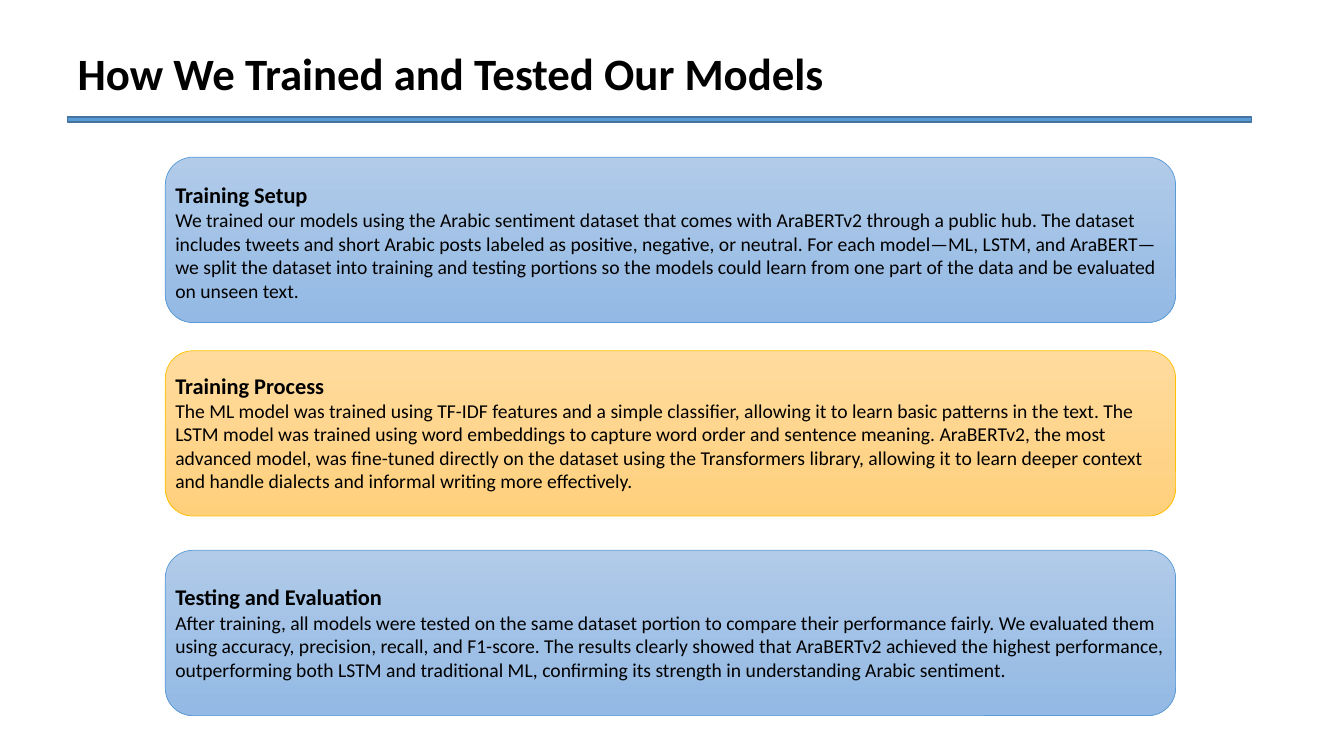
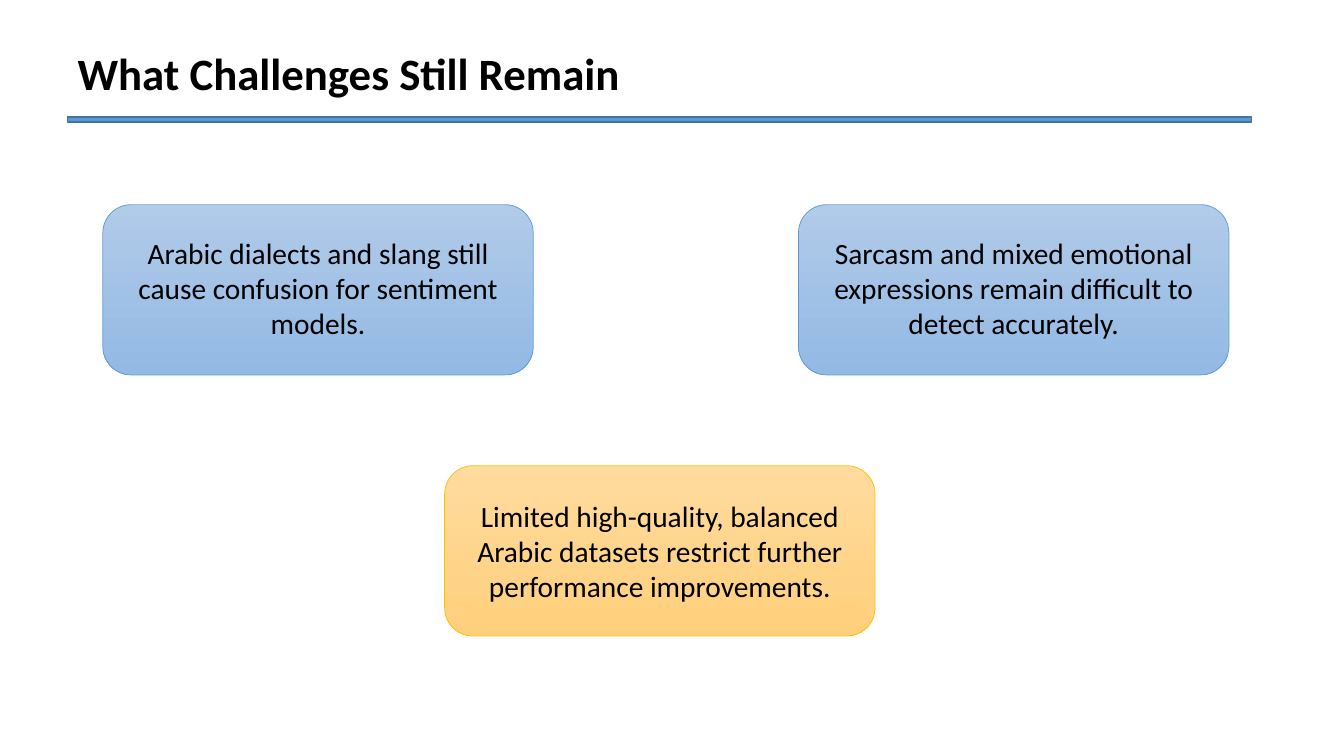
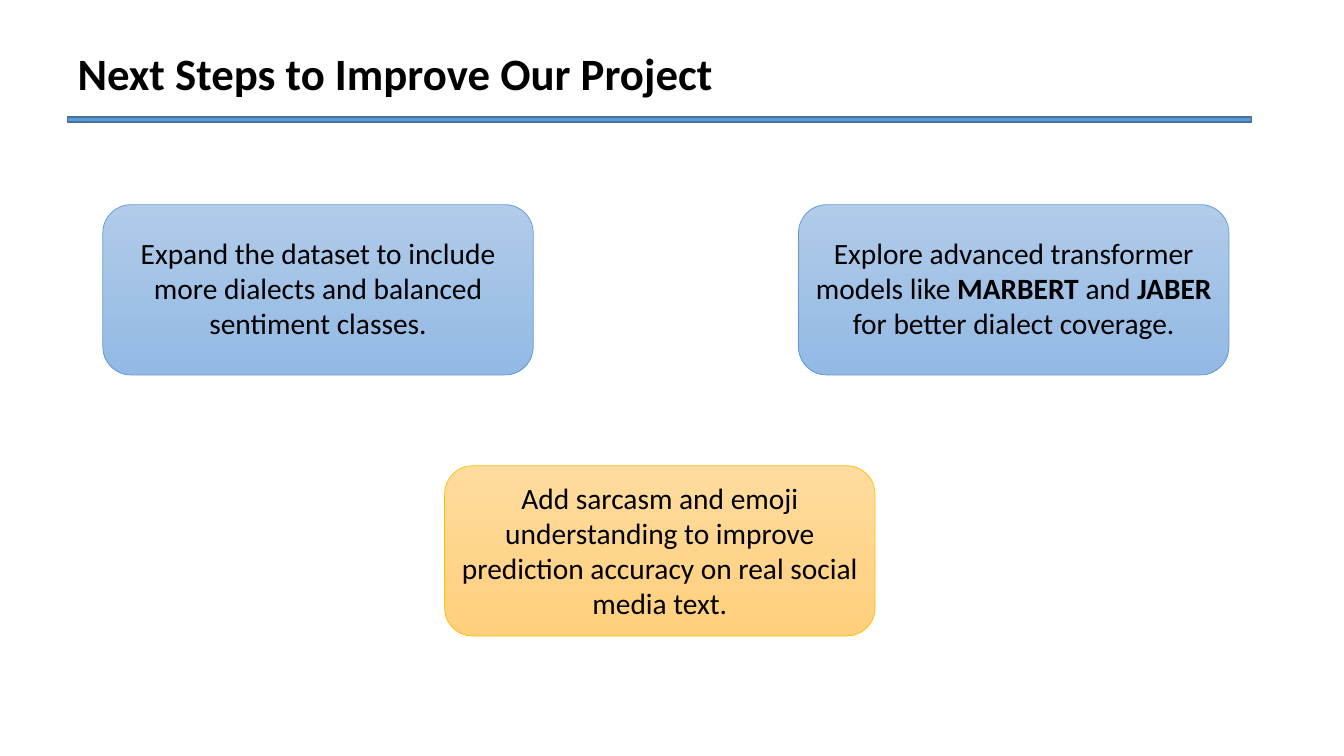
import dataclasses

import pptx
import pptx.dml.color
import pptx.enum.shapes
import pptx.enum.text
import pptx.util

SHAPES = pptx.enum.shapes.MSO_SHAPE
ALIGN = pptx.enum.text.PP_ALIGN


@dataclasses.dataclass(frozen=True)
class Theme:
    font: str = "Calibri"
    ink: str = "000000"
    rule: tuple = ("5B9BD5", "43739E")
    blue: tuple = ("B1CBE9", "93B9E4", "5B9BD5")
    gold: tuple = ("FFDB9E", "FFD07C", "FFC000")
    title: int = 32
    heading: int = 16
    body: int = 14
    statement: int = 21
    rule_line: float = 1
    card_line: float = 0.5


def apply(target, values):
    for name, value in values.items():
        setattr(target, name, value)


def rgb(code):
    return pptx.dml.color.RGBColor.from_string(code)


class Deck:
    def __init__(self, theme):
        self.theme = theme
        self.presentation = pptx.Presentation()
        apply(self.presentation, {
            "slide_width": pptx.util.Inches(13.33),
            "slide_height": pptx.util.Inches(7.5),
        })
        self.slide = None

    def frame(self, left, top, width, height):
        across = self.presentation.slide_width / 100
        down = self.presentation.slide_height / 100
        return (round(left * across), round(top * down),
                round(width * across), round(height * down))

    def start(self, title):
        blank = self.presentation.slide_layouts[6]
        self.slide = self.presentation.slides.add_slide(blank)
        self.text((5.03, 5.33, 82.37, 8.53), [(f"**{title}**", self.theme.title)])
        self.rule((5.03, 15.47, 88.07, 0.67))

    def shape(self, kind, place, line, weight):
        shape = self.slide.shapes.add_shape(kind, *self.frame(*place))
        shape.shadow.inherit = False
        shape.line.color.rgb = rgb(line)
        shape.line.width = pptx.util.Pt(weight)
        return shape

    def rule(self, place):
        fill, line = self.theme.rule
        rule = self.shape(SHAPES.RECTANGLE, place, line, self.theme.rule_line)
        rule.fill.solid()
        rule.fill.fore_color.rgb = rgb(fill)

    def card(self, place, colours):
        *shades, line = colours
        card = self.shape(SHAPES.ROUNDED_RECTANGLE, place, line, self.theme.card_line)
        card.fill.gradient()
        card.fill.gradient_angle = 270
        for stop, shade in zip(card.fill.gradient_stops, shades):
            stop.color.rgb = rgb(shade)

    def text(self, place, paragraphs, align=ALIGN.LEFT):
        box = self.slide.shapes.add_textbox(*self.frame(*place)).text_frame
        apply(box, {
            "word_wrap": True,
            "auto_size": pptx.enum.text.MSO_AUTO_SIZE.SHAPE_TO_FIT_TEXT,
        })
        for index, (words, size) in enumerate(paragraphs):
            paragraph = box.add_paragraph() if index else box.paragraphs[0]
            paragraph.alignment = align
            for position, part in enumerate(words.split("**")):
                if part:
                    run = paragraph.add_run()
                    run.text = part
                    apply(run.font, {
                        "name": self.theme.font,
                        "size": pptx.util.Pt(size),
                        "bold": position % 2 == 1,
                    })
                    run.font.color.rgb = rgb(self.theme.ink)

    def stages(self, title, stages):
        self.start(title)
        left, width, height = 12.3, 75.17, 21.87
        colours = (self.theme.blue, self.theme.gold, self.theme.blue)
        for (top, text_top, text_height, heading, body), colour in zip(stages, colours):
            self.card((left, top, width, height), colour)
            self.text((left, text_top, width, text_height),
                      [(f"**{heading}**", self.theme.heading), (body, self.theme.body)])

    def triangle(self, title, statements):
        self.start(title)
        width, height = 32.03, 22.53
        corners = (
            (7.65, 27.07, self.theme.blue),
            (59.41, 27.07, self.theme.blue),
            (33.08, 61.6, self.theme.gold),
        )
        for left, top, colours in corners:
            self.card((left, top, width, height), colours)
        for (left, _, _), (text_top, text_height, words) in zip(corners, statements):
            self.text((left, text_top, width, text_height),
                      [(words, self.theme.statement)], ALIGN.CENTER)


def main():
    deck = Deck(Theme())
    deck.stages("How We Trained and Tested Our Models", [
        (20.8, 23.33, 17.47, "Training Setup",
         "We trained our models using the Arabic sentiment dataset that comes with "
         "AraBERTv2 through a public hub. The dataset includes tweets and short Arabic "
         "posts labeled as positive, negative, or neutral. For each model—ML, LSTM, and "
         "AraBERT—we split the dataset into training and testing portions so the models "
         "could learn from one part of the data and be evaluated on unseen text."),
        (46.4, 48.53, 17.47, "Training Process",
         "The ML model was trained using TF-IDF features and a simple classifier, "
         "allowing it to learn basic patterns in the text. The LSTM model was trained "
         "using word embeddings to capture word order and sentence meaning. AraBERTv2, "
         "the most advanced model, was fine-tuned directly on the dataset using the "
         "Transformers library, allowing it to learn deeper context and handle dialects "
         "and informal writing more effectively."),
        (72.8, 76.53, 14.4, "Testing and Evaluation",
         "After training, all models were tested on the same dataset portion to compare "
         "their performance fairly. We evaluated them using accuracy, precision, recall, "
         "and F1-score. The results clearly showed that AraBERTv2 achieved the highest "
         "performance, outperforming both LSTM and traditional ML, confirming its "
         "strength in understanding Arabic sentiment."),
    ])
    deck.triangle("What Challenges Still Remain", [
        (30.4, 15.47,
         "Arabic dialects and slang still cause confusion for sentiment models."),
        (30.4, 15.47,
         "Sarcasm and mixed emotional expressions remain difficult to detect accurately."),
        (65.2, 15.47,
         "Limited high-quality, balanced Arabic datasets restrict further "
         "performance improvements."),
    ])
    deck.triangle("Next Steps to Improve Our Project", [
        (30.4, 15.47,
         "Expand the dataset to include more dialects and balanced sentiment classes."),
        (30.4, 15.47,
         "Explore advanced transformer models like **MARBERT** and **JABER** "
         "for better dialect coverage."),
        (62.8, 20.13,
         "Add sarcasm and emoji understanding to improve prediction accuracy "
         "on real social media text."),
    ])
    deck.presentation.save("out.pptx")


if __name__ == "__main__":
    main()
